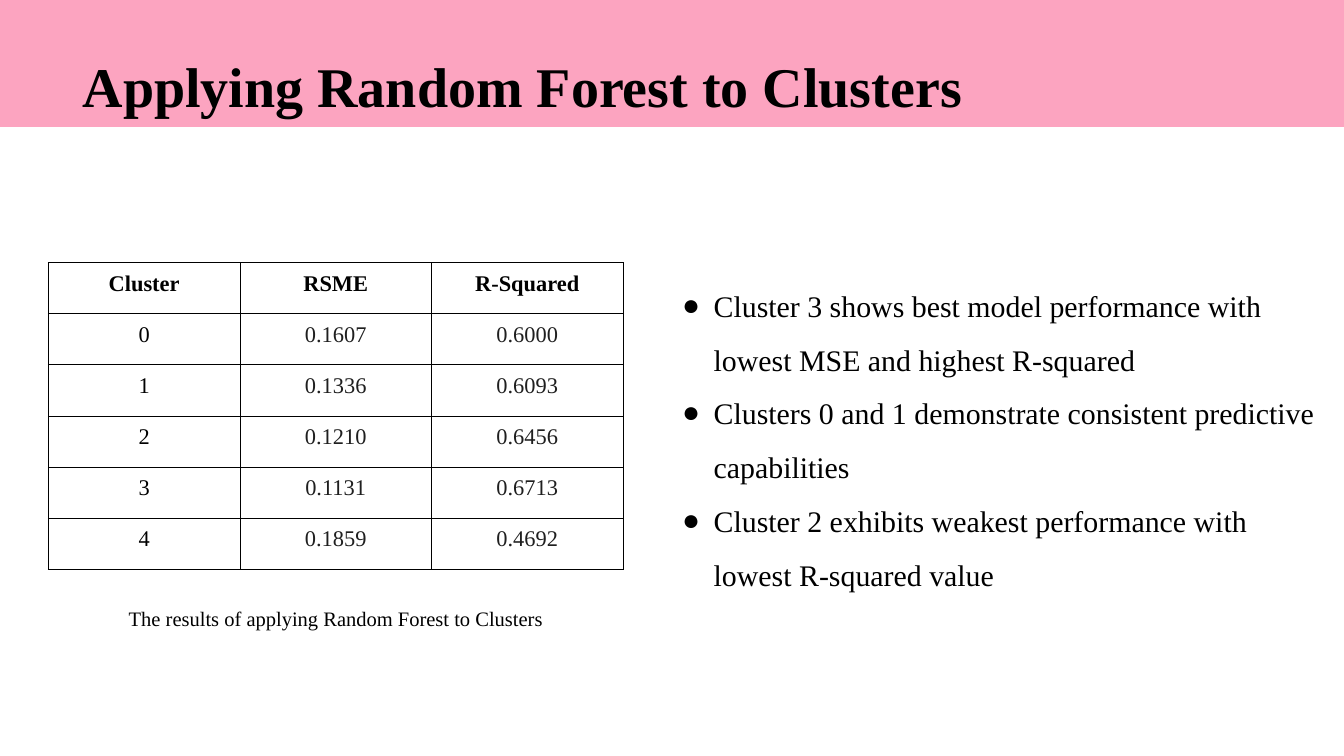
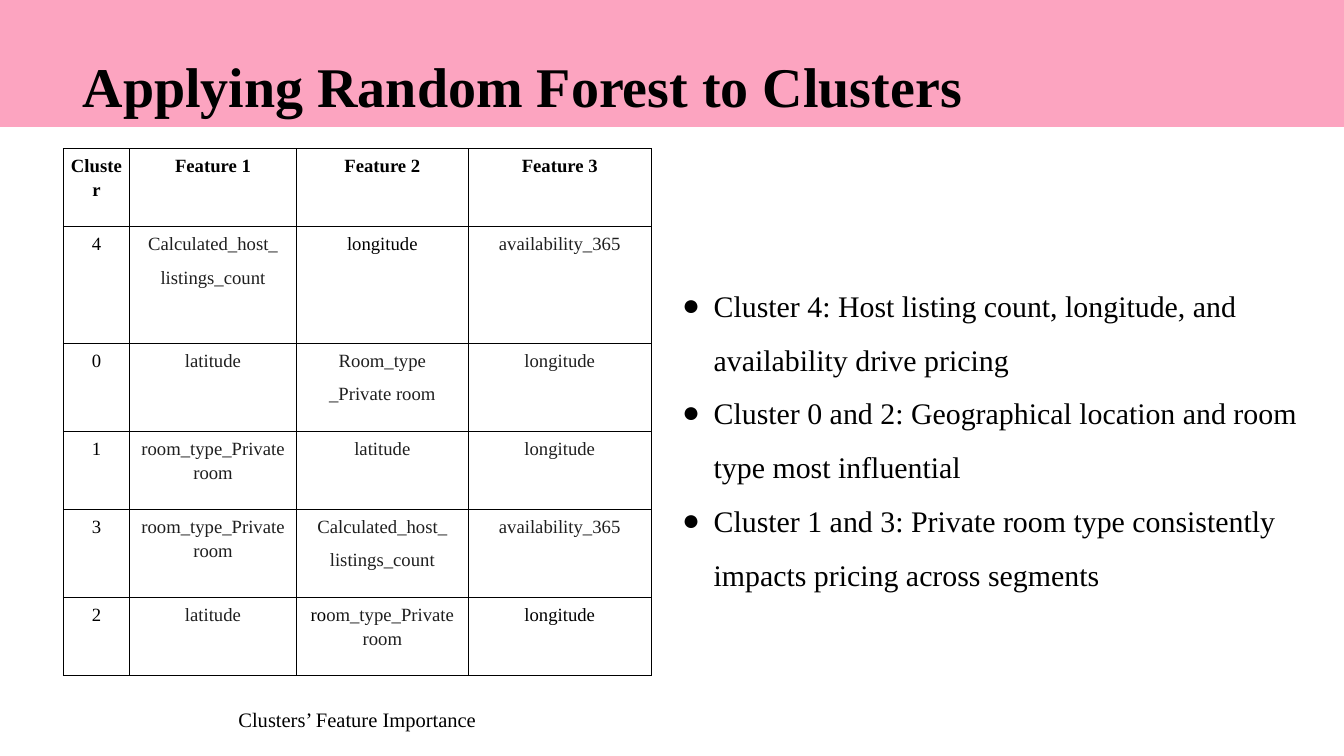
from lxml import etree
from pptx import Presentation
from pptx.dml.color import RGBColor
from pptx.enum.shapes import MSO_SHAPE
from pptx.enum.text import MSO_ANCHOR, MSO_AUTO_SIZE, PP_ALIGN
from pptx.oxml.ns import qn
from pptx.util import Inches, Pt

RECTANGLE = MSO_SHAPE.RECTANGLE
TOP, MIDDLE = MSO_ANCHOR.TOP, MSO_ANCHOR.MIDDLE
LEFT, CENTER = PP_ALIGN.LEFT, PP_ALIGN.CENTER
NO_FIT = MSO_AUTO_SIZE.NONE

FONT = "Times New Roman"
BLACK, CHARCOAL, PINK = "000000", "1F1F1F", "FCA4C0"
TITLE_AND_CONTENT = 1

# Boxes shared by the slides: left, top, width, height in inches
BAND_BOX = (0, -0.16, 20, 2.05)
TITLE_BOX = (1.17, -0.2, 18.83, 2.05)
LIST_BOX = (10.02, 3.91, 9.7, 5.02)

# Paragraph formats
TITLE_PARA = {"alignment": LEFT, "line_spacing": 1.87, "space_before": Pt(0)}
LIST_PARA = {"alignment": LEFT, "line_spacing": 1.5, "space_before": Pt(0)}
CAPTION_PARA = {"alignment": CENTER, "line_spacing": 1.15, "space_after": Pt(10)}
CELL_PARA = {"alignment": CENTER, "line_spacing": 1.15}

TITLE = "Applying Random Forest to Clusters"

RESULTS = {
    "box": (0.72, 3.91),
    "size": 24,
    "columns": [2.85] * 3,
    "heights": [0.76] * 6,
    "rows": [
        ["Cluster", "RSME", "R-Squared"],
        ["0", "0.1607", "0.6000"],
        ["1", "0.1336", "0.6093"],
        ["2", "0.1210", "0.6456"],
        ["3", "0.1131", "0.6713"],
        ["4", "0.1859", "0.4692"],
    ],
    "black_starts": {},
}

# black_starts: (row, column) -> number of leading characters in black
FEATURES = {
    "box": (0.94, 2.21),
    "size": 20,
    "columns": [0.99, 2.48, 2.56, 2.72],
    "heights": [1.16, 1.74, 1.31, 1.16, 1.31, 1.16],
    "rows": [
        ["Cluster", "Feature 1", "Feature 2", "Feature 3"],
        ["4", "Calculated_host_\nlistings_count", "longitude", "availability_365"],
        ["0", "latitude", "Room_type\n_Private room", "longitude"],
        ["1", "room_type_Private room", "latitude", "longitude"],
        ["3", "room_type_Private room", "Calculated_host_\nlistings_count",
         "availability_365"],
        ["2", "latitude", "room_type_Private room", "longitude"],
    ],
    "black_starts": {(1, 2): 9, (5, 2): 2, (5, 3): 9},
}

SLIDES = [
    {
        "points": [
            "Cluster 3 shows best model performance with lowest MSE and highest R-squared",
            "Clusters 0 and 1 demonstrate consistent predictive capabilities",
            "Cluster 2 exhibits weakest performance with lowest R-squared value",
        ],
        "table": RESULTS,
        "caption": "The results of applying Random Forest to Clusters",
        "caption_box": (0.24, 8.75, 9.51, 0.84),
    },
    {
        "points": [
            "Cluster 4: Host listing count, longitude, and availability drive pricing",
            "Cluster 0 and 2: Geographical location and room type most influential",
            "Cluster 1 and 3: Private room type consistently impacts pricing across segments",
        ],
        "table": FEATURES,
        "caption": "Clusters’ Feature Importance",
        "caption_box": (0.56, 10.26, 9.51, 0.84),
    },
]


def colour(hex_string):
    return RGBColor.from_string(hex_string)


def apply(target, formats):
    for name, value in formats.items():
        setattr(target, name, value)


def place(shape, box):
    names = ("left", "top", "width", "height")
    apply(shape, {name: Inches(length) for name, length in zip(names, box)})


def set_frame(frame, anchor, inset):
    apply(frame, {"word_wrap": True, "auto_size": NO_FIT, "vertical_anchor": anchor})
    for side in ("left", "top", "right", "bottom"):
        setattr(frame, f"margin_{side}", Inches(inset))


def add_span(para, text, size, hex_string=BLACK, bold=False):
    span = para.add_run()
    span.text = text
    apply(span.font, {"name": FONT, "size": Pt(size), "bold": bold})
    span.font.color.rgb = colour(hex_string)


def get_para(frame, index):
    return frame.add_paragraph() if index else frame.paragraphs[0]


def add_bullet(para):
    """Hang a black dot in front of the paragraph."""
    properties = para._p.get_or_add_pPr()
    properties.set("marL", str(Inches(0.5)))
    properties.set("indent", str(Inches(-0.47)))
    tint = etree.SubElement(properties, qn("a:buClr"))
    etree.SubElement(tint, qn("a:srgbClr"), val=BLACK)
    etree.SubElement(properties, qn("a:buFont"), typeface=FONT)
    etree.SubElement(properties, qn("a:buChar"), char="●")


def add_borders(cell):
    properties = cell._tc.get_or_add_tcPr()
    for index, side in enumerate(("lnL", "lnR", "lnT", "lnB")):
        line = etree.Element(qn(f"a:{side}"), w=str(Pt(1)))
        fill = etree.SubElement(line, qn("a:solidFill"))
        etree.SubElement(fill, qn("a:srgbClr"), val=BLACK)
        properties.insert(index, line)


def add_header(page):
    """Pink band with the title in front of it."""
    title = page.shapes.title
    band = page.shapes.add_shape(
        RECTANGLE, *(Inches(length) for length in BAND_BOX))
    band.shadow.inherit = False
    band.fill.solid()
    band.fill.fore_color.rgb = colour(PINK)
    band.line.fill.background()
    title.element.addprevious(band.element)

    place(title, TITLE_BOX)
    set_frame(title.text_frame, MIDDLE, 0.06)
    para = title.text_frame.paragraphs[0]
    apply(para, TITLE_PARA)
    add_span(para, TITLE, 60, bold=True)


def add_points(page, box, points):
    body = page.placeholders[1]
    place(body, box)
    set_frame(body.text_frame, TOP, 0.1)
    for index, point in enumerate(points):
        para = get_para(body.text_frame, index)
        add_bullet(para)
        apply(para, LIST_PARA)
        add_span(para, point, 32)


def fill_cell(cell, text, size, black_count, bold):
    """One paragraph per line; the first black_count characters are black."""
    for side in ("left", "top", "right", "bottom"):
        setattr(cell, f"margin_{side}", Inches(0.07))
    cell.fill.background()
    add_borders(cell)
    lines = text.split("\n")
    for index, line in enumerate(lines):
        para = get_para(cell.text_frame, index)
        apply(para, CELL_PARA)
        para.space_before = Pt(10 if index else 0)
        para.space_after = Pt(10 if index == len(lines) - 1 else 0)
        parts = ((line[:black_count], BLACK), (line[black_count:], CHARCOAL))
        for part, hex_string in parts:
            if part:
                add_span(para, part, size, hex_string, bold)


def add_cluster_table(page, data):
    rows, columns, heights = data["rows"], data["columns"], data["heights"]
    left, top = data["box"]
    table = page.shapes.add_table(
        len(rows), len(columns), Inches(left), Inches(top),
        Inches(sum(columns)), Inches(sum(heights))).table
    apply(table, {"first_row": False, "horz_banding": False})
    for column, width in zip(table.columns, columns):
        column.width = Inches(width)
    for row, height in zip(table.rows, heights):
        row.height = Inches(height)

    for r, texts in enumerate(rows):
        for c, text in enumerate(texts):
            is_label = r == 0 or c == 0
            black_count = len(text) if is_label else data["black_starts"].get((r, c), 0)
            fill_cell(table.cell(r, c), text, data["size"], black_count, r == 0)


def add_caption(page, box, text):
    caption = page.shapes.add_textbox(*(Inches(length) for length in box))
    set_frame(caption.text_frame, MIDDLE, 0.1)
    para = caption.text_frame.paragraphs[0]
    apply(para, CAPTION_PARA)
    add_span(para, text, 22)


def add_cluster_slide(deck, content):
    page = deck.slides.add_slide(deck.slide_layouts[TITLE_AND_CONTENT])
    add_header(page)
    add_points(page, LIST_BOX, content["points"])
    add_cluster_table(page, content["table"])
    add_caption(page, content["caption_box"], content["caption"])


def main():
    deck = Presentation()
    apply(deck, {"slide_width": Inches(20), "slide_height": Inches(11.25)})
    for content in SLIDES:
        add_cluster_slide(deck, content)
    deck.save("out.pptx")


if __name__ == "__main__":
    main()
